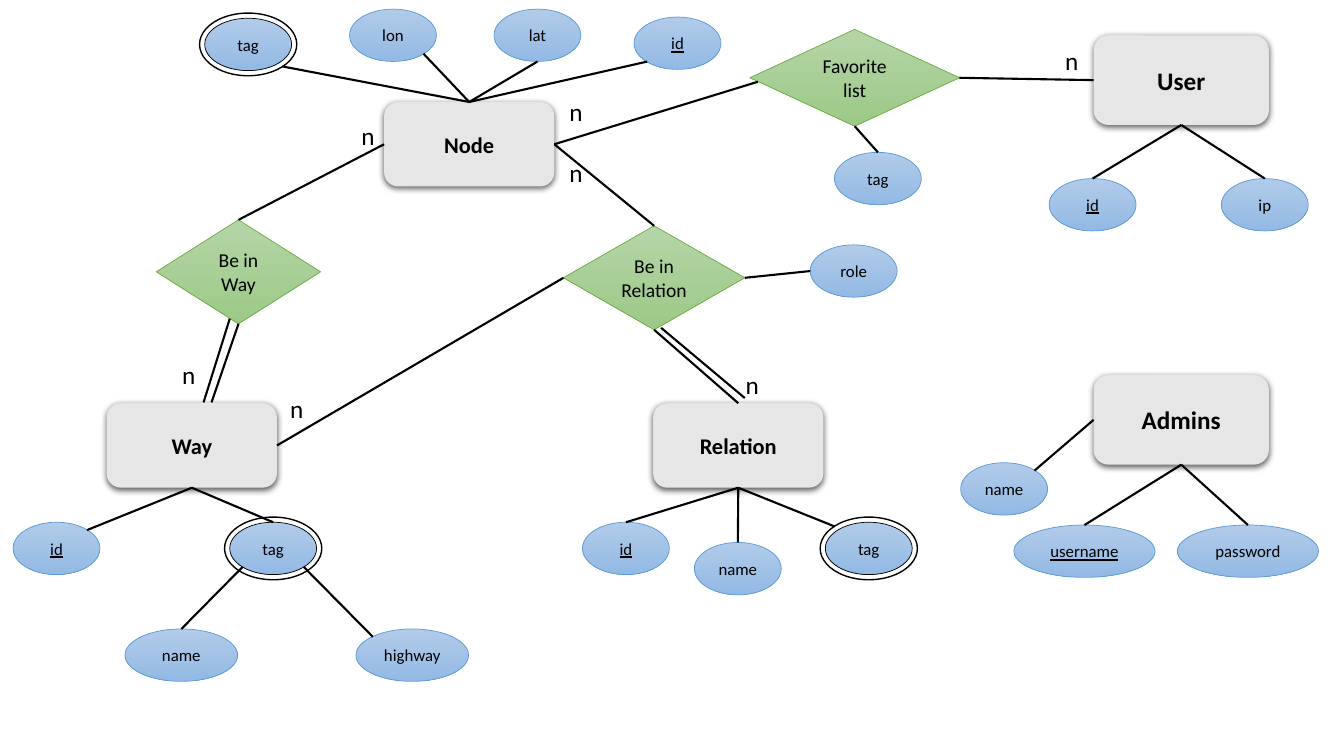
from lxml.etree import SubElement
from pptx import Presentation
from pptx.dml.color import RGBColor
from pptx.enum.shapes import MSO_CONNECTOR, MSO_SHAPE
from pptx.enum.text import MSO_ANCHOR, MSO_AUTO_SIZE, PP_ALIGN
from pptx.oxml.ns import qn
from pptx.util import Cm, Pt

BLACK = "000000"
ATTR_W, ATTR_H, RING_GAP = 2.19, 1.32, 0.13

# Attributes: key, text, left, top, width, kind of attribute
ATTRIBUTES = [
    ("node tag", "tag", 5.16, 0.46, ATTR_W, "multi"),
    ("node lon", "lon", 8.81, 0.23, ATTR_W, ""),
    ("node lat", "lat", 12.45, 0.23, ATTR_W, ""),
    ("node id", "id", 15.98, 0.43, ATTR_W, "key"),
    ("way id", "id", 0.33, 13.16, ATTR_W, "key"),
    ("way tag", "tag", 5.79, 13.16, ATTR_W, "multi"),
    ("tag name", "name", 3.15, 15.85, 2.84, ""),
    ("tag highway", "highway", 8.97, 15.85, 2.84, ""),
    ("relation id", "id", 14.68, 13.16, ATTR_W, "key"),
    ("relation name", "name", 17.5, 13.67, ATTR_W, ""),
    ("relation tag", "tag", 20.8, 13.16, ATTR_W, "multi"),
    ("role", "role", 20.42, 6.17, ATTR_W, ""),
    ("favorite tag", "tag", 21.03, 3.84, ATTR_W, ""),
    ("user id", "id", 26.44, 4.5, ATTR_W, "key"),
    ("user ip", "ip", 30.78, 4.5, ATTR_W, ""),
    ("admin name", "name", 24.21, 11.66, ATTR_W, ""),
    ("username", "username", 25.55, 13.23, 3.56, "key"),
    ("password", "password", 29.67, 13.23, 3.56, ""),
]
# Entities: text, left, top, width, height, font size
ENTITIES = [
    ("Way", 2.69, 10.16, 4.29, 2.13, 16),
    ("Node", 9.68, 2.57, 4.29, 2.13, 16),
    ("Relation", 16.46, 10.16, 4.29, 2.13, 16),
    ("User", 27.56, 0.89, 4.42, 2.26, 18),
    ("Admins", 27.56, 9.45, 4.42, 2.26, 18),
]
# Relationships: text, left, top, width, height
RELATIONSHIPS = [
    ("Be in Relation", 14.2, 5.69, 4.57, 2.62),
    ("Be in Way", 3.94, 5.54, 4.14, 2.62),
    ("Favorite list", 18.9, 0.74, 5.28, 2.44),
]
# Links: each end is (shape, side) or a free point (x, y)
LINKS = [
    (("Node", "top"), ("node tag ring", "bottom right")),
    (("Node", "top"), ("node lon", "bottom right")),
    (("Node", "top"), ("node lat", "bottom")),
    (("Node", "top"), ("node id", "bottom left")),
    (("Node", "left"), ("Be in Way", "top")),
    (("Node", "right"), ("Be in Relation", "top")),
    (("Node", "right"), (19.1, 2.06)),
    (("Be in Way", "bottom"), (5.33, 10.14)),
    ((5.79, 8.03), (5.13, 10.14)),
    (("Be in Relation", "bottom"), ("Relation", "top")),
    ((16.66, 8.26), (18.77, 10.03)),
    (("Be in Relation", "left"), ("Way", "right")),
    (("Be in Relation", "right"), ("role", "left")),
    (("Way", "bottom"), ("way id", "top right")),
    (("Way", "bottom"), ("way tag", "top")),
    (("way tag", "bottom left"), ("tag name", "top")),
    (("way tag", "bottom right"), ("tag highway", "top left")),
    (("Relation", "bottom"), ("relation id", "top")),
    (("Relation", "bottom"), ("relation name", "top")),
    (("Relation", "bottom"), ("relation tag ring", "top left")),
    (("Favorite list", "right"), ("User", "left")),
    (("Favorite list", "bottom"), ("favorite tag", "top")),
    (("User", "bottom"), ("user id", "top")),
    (("User", "bottom"), ("user ip", "top")),
    (("Admins", "left"), ("admin name", "top right")),
    (("Admins", "bottom"), ("username", "top")),
    (("Admins", "bottom"), ("password", "top")),
]
CARDINALITIES = [(8.86, 2.9), (14.1, 2.31), (14.1, 3.84), (26.59, 1.02),
                 (4.34, 8.92), (7.06, 9.78), (18.54, 9.17)]

# Connection sites, counter-clockwise from the top, as fractions of the shape
SITES = {"top": (0.5, 0), "top left": (0.15, 0.15), "left": (0, 0.5),
         "bottom left": (0.15, 0.85), "bottom": (0.5, 1),
         "bottom right": (0.85, 0.85), "right": (1, 0.5), "top right": (0.85, 0.15)}


def rgb(color):
    return RGBColor.from_string(color)


def add_node(kind, key, text, box, colors, line, line_width, size):
    sp = slide.shapes.add_shape(kind, *[Cm(v) for v in box])
    sp.shadow.inherit = False
    if len(colors) == 2:
        sp.fill.gradient()
        sp.fill.gradient_angle = 270
        for stop, color in zip(sp.fill.gradient_stops, colors):
            stop.color.rgb = rgb(color)
    else:
        sp.fill.solid()
        sp.fill.fore_color.rgb = rgb(colors[0])
    if line:
        sp.line.color.rgb = rgb(line)
        sp.line.width = Pt(line_width)
    else:
        sp.line.fill.background()
    if text:
        tf = sp.text_frame
        tf.text = text
        tf.vertical_anchor = MSO_ANCHOR.MIDDLE
        p = tf.paragraphs[0]
        p.alignment = PP_ALIGN.CENTER
        font = p.runs[0].font
        font.name, font.size, font.color.rgb = "Calibri", Pt(size), rgb(BLACK)
    nodes[key] = sp
    return sp


prs = Presentation()
prs.slide_width, prs.slide_height = Cm(33.87), Cm(19.05)
slide = prs.slides.add_slide(prs.slide_layouts[6])
nodes = {}

# Entities with a soft shadow
for text, x, y, w, h, size in ENTITIES:
    sp = add_node(MSO_SHAPE.ROUNDED_RECTANGLE, text, text, (x, y, w, h),
                  ["E7E6E6"], None, 0, size)
    sp.text_frame.paragraphs[0].runs[0].font.bold = True
    effects = sp._element.spPr.find(qn("a:effectLst"))
    shadow = SubElement(effects, qn("a:outerShdw"), blurRad=str(Pt(4.5)),
                        dist=str(Pt(1.5)), dir="5400000", rotWithShape="0")
    color = SubElement(shadow, qn("a:srgbClr"), val=BLACK)
    SubElement(color, qn("a:alpha"), val="63000")

# Relationships
for text, *box in RELATIONSHIPS:
    add_node(MSO_SHAPE.FLOWCHART_DECISION, text, text, box,
             ["B5D5A7", "9CC987"], "70AD47", 0.5, 14)

# Attributes: keys are underlined, multivalued ones get a ring
for key, text, x, y, w, kind in ATTRIBUTES:
    multi = kind == "multi"
    if multi:
        ring = (x - RING_GAP, y - RING_GAP, w + 2 * RING_GAP, ATTR_H + 2 * RING_GAP)
        add_node(MSO_SHAPE.OVAL, key + " ring", "", ring, ["FFFFFF"], BLACK, 1, 12)
    sp = add_node(MSO_SHAPE.OVAL, key, text, (x, y, w, ATTR_H),
                  ["B1CBE9", "93B9E4"], BLACK if multi else "5B9BD5", 0.5, 12)
    sp.text_frame.word_wrap = False
    if kind == "key":
        sp.text_frame.paragraphs[0].runs[0].font.underline = True

# Links, glued to the shapes they join
for ends in LINKS:
    link = slide.shapes.add_connector(MSO_CONNECTOR.STRAIGHT, 0, 0, 0, 0)
    points = []
    for end, connect in zip(ends, (link.begin_connect, link.end_connect)):
        if end[0] in nodes:
            sp = nodes[end[0]]
            fx, fy = SITES[end[1]]
            site = list(SITES).index(end[1])
            is_oval = sp.auto_shape_type == MSO_SHAPE.OVAL
            connect(sp, 0)
            cxn = link._element.nvCxnSpPr.cNvCxnSpPr
            glue = cxn.stCxn if connect == link.begin_connect else cxn.endCxn
            glue.idx = site if is_oval else site // 2
            points.append((int(sp.left + fx * sp.width), int(sp.top + fy * sp.height)))
        else:
            points.append((Cm(end[0]), Cm(end[1])))
    (link.begin_x, link.begin_y), (link.end_x, link.end_y) = points
    link.line.color.rgb = rgb(BLACK)
    link.line.width = Pt(1.5)
    SubElement(link._element.spPr, qn("a:effectLst"))

# Cardinalities
for x, y in CARDINALITIES:
    tf = slide.shapes.add_textbox(Cm(x), Cm(y), Cm(0.86), Cm(1.02)).text_frame
    tf.text = "n"
    tf.word_wrap = False
    tf.auto_size = MSO_AUTO_SIZE.SHAPE_TO_FIT_TEXT
    font = tf.paragraphs[0].runs[0].font
    font.name, font.size, font.color.rgb = "Calibri", Pt(18), rgb(BLACK)

prs.save("out.pptx")
